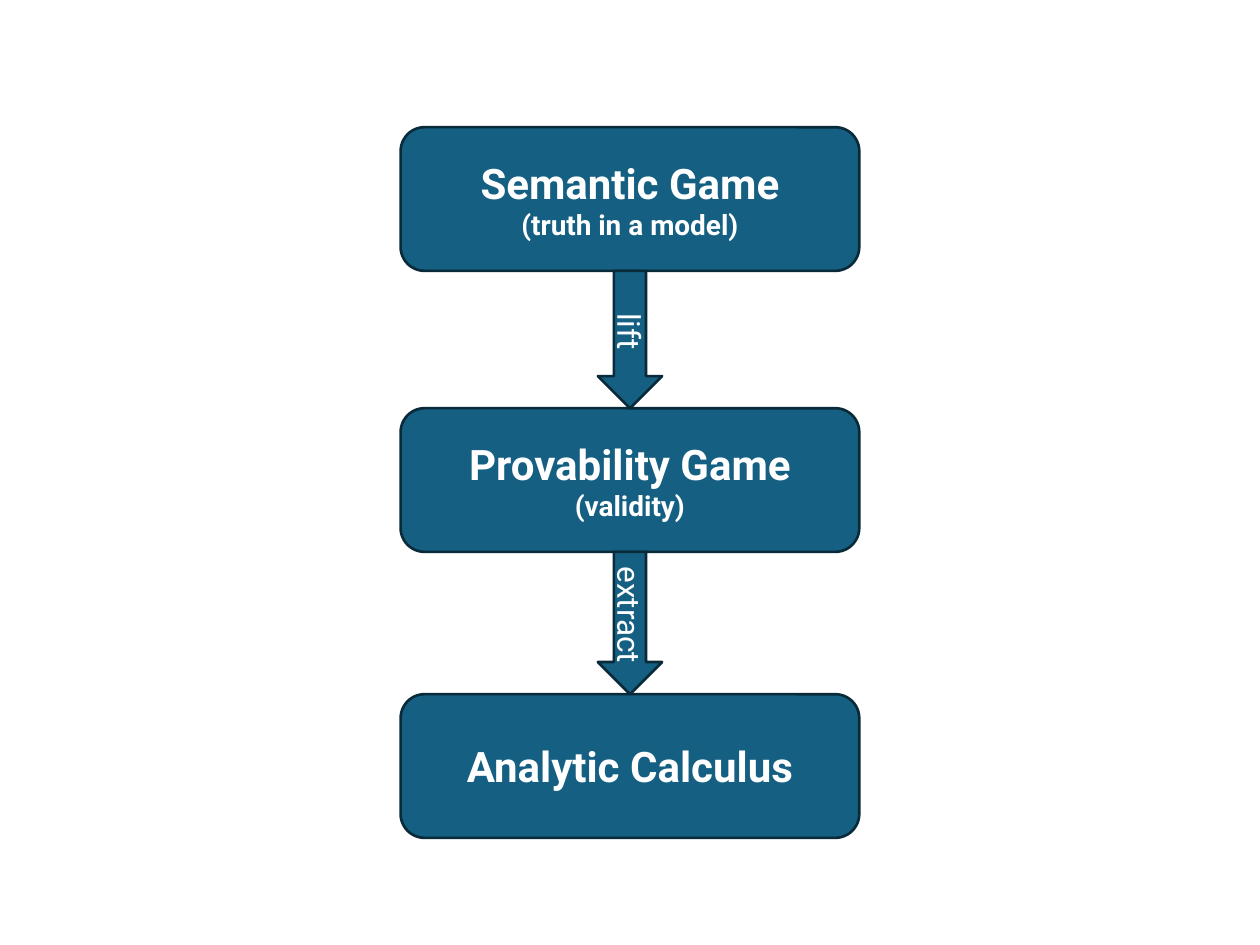
import itertools

import pptx
import pptx.dml.color
import pptx.enum.shapes
import pptx.enum.text
import pptx.util

COLORS = {"fill": "156082", "outline": "092A39", "text": "FFFFFF"}
FONT = "Roboto"
SLIDE_WIDTH, SLIDE_HEIGHT = 10, 7.5
STAGE_WIDTH, STAGE_HEIGHT = 3.64, 1.14
STAGE_LEFT = (SLIDE_WIDTH - STAGE_WIDTH) / 2
ARROW_WIDTH = 0.51

# Top of each stage, its title and its optional explanation
STAGES = [
    (1.01, "Semantic Game", "(truth in a model)"),
    (3.24, "Provability Game", "(validity)"),
    (5.51, "Analytic Calculus", None),
]
STEPS = ["lift", "extract"]


def rgb(name):
    return pptx.dml.color.RGBColor.from_string(COLORS[name])


def write(paragraph, text, size, bold=False, color="text"):
    paragraph.alignment = pptx.enum.text.PP_ALIGN.CENTER
    run = paragraph.add_run()
    run.text = text
    run.font.name = FONT
    run.font.size = pptx.util.Pt(size)
    run.font.bold = bold
    run.font.color.rgb = rgb(color)


def add_outlined_shape(slide, preset, box):
    """Add a filled preset shape; box is left, top, width, height in inches."""
    shape = slide.shapes.add_shape(preset, *map(pptx.util.Inches, box))
    shape.shadow.inherit = False
    shape.fill.solid()
    shape.fill.fore_color.rgb = rgb("fill")
    shape.line.color.rgb = rgb("outline")
    shape.line.width = pptx.util.Pt(1.5)
    shape.text_frame.vertical_anchor = pptx.enum.text.MSO_ANCHOR.MIDDLE
    return shape


def add_stage(slide, box, title, explanation):
    stage = add_outlined_shape(
        slide, pptx.enum.shapes.MSO_SHAPE.ROUNDED_RECTANGLE, box)
    frame = stage.text_frame
    write(frame.paragraphs[0], title, size=24, bold=True)
    if explanation:
        write(frame.add_paragraph(), explanation, size=16, bold=True)


def add_step(slide, box, label):
    """Add a down arrow whose label reads along the shaft."""
    step = add_outlined_shape(
        slide, pptx.enum.shapes.MSO_SHAPE.DOWN_ARROW, box)
    step.element.xpath(".//a:bodyPr")[0].set("vert", "vert")
    write(step.text_frame.paragraphs[0], label, size=18)


def add_flow(slide, left, width):
    """Stack the stages in one column and fill each gap with an arrow."""
    for top, title, explanation in STAGES:
        add_stage(slide, (left, top, width, STAGE_HEIGHT), title, explanation)
    arrow_left = left + (width - ARROW_WIDTH) / 2
    for label, (upper, lower) in zip(STEPS, itertools.pairwise(STAGES)):
        arrow_top = upper[0] + STAGE_HEIGHT
        add_step(slide,
                 (arrow_left, arrow_top, ARROW_WIDTH, lower[0] - arrow_top),
                 label)


def main():
    presentation = pptx.Presentation()
    presentation.slide_width = pptx.util.Inches(SLIDE_WIDTH)
    presentation.slide_height = pptx.util.Inches(SLIDE_HEIGHT)
    slide = presentation.slides.add_slide(presentation.slide_layouts[6])
    add_flow(slide, STAGE_LEFT, STAGE_WIDTH)
    presentation.save("out.pptx")


if __name__ == "__main__":
    main()
